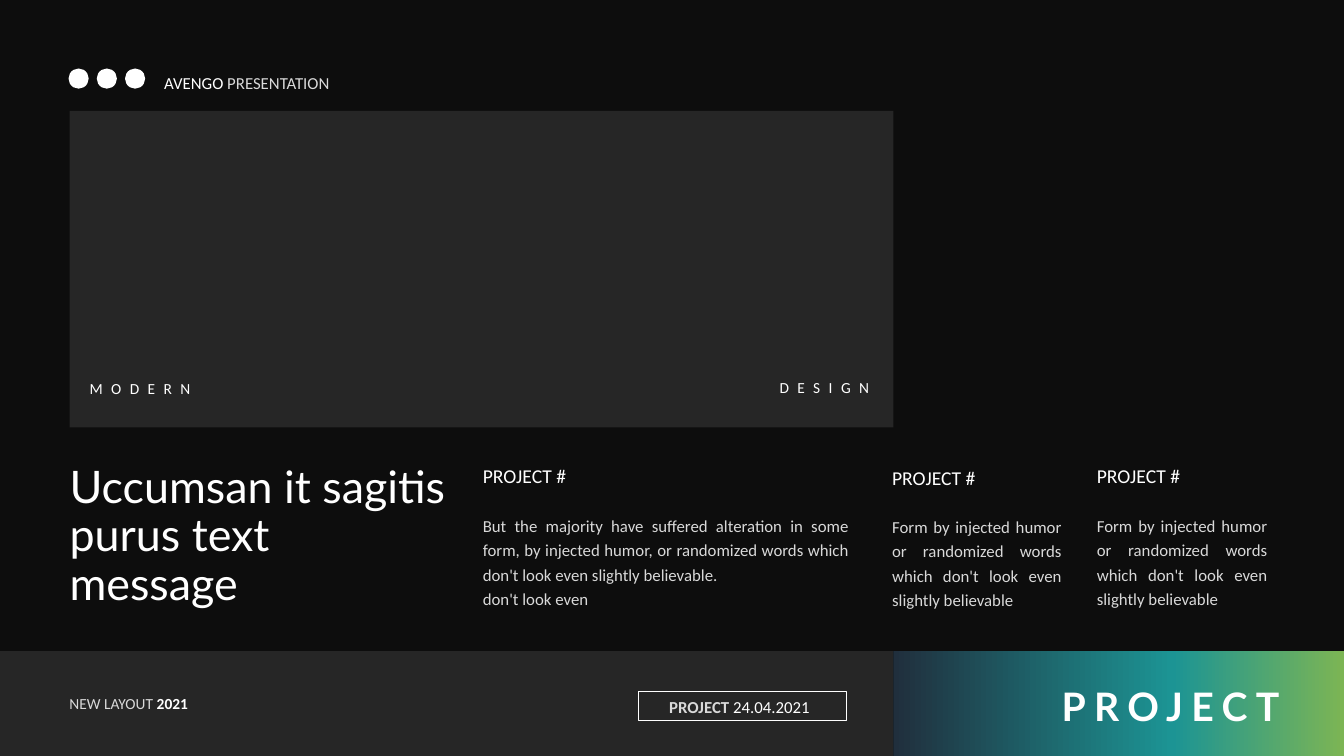
from copy import deepcopy

from pptx import Presentation
from pptx.dml.color import RGBColor
from pptx.enum.shapes import MSO_SHAPE
from pptx.enum.text import MSO_ANCHOR, MSO_AUTO_SIZE, PP_ALIGN
from pptx.oxml.ns import qn
from pptx.util import Inches, Pt

RECT, OVAL = MSO_SHAPE.RECTANGLE, MSO_SHAPE.OVAL
LEFT, RIGHT = PP_ALIGN.LEFT, PP_ALIGN.RIGHT
CENTER, JUSTIFY = PP_ALIGN.CENTER, PP_ALIGN.JUSTIFY
TOP, GROW = MSO_ANCHOR.TOP, MSO_AUTO_SIZE.SHAPE_TO_FIT_TEXT

WHITE, PALE, PANEL, BACK = "FFFFFF", "D9D9D9", "262626", "0D0D0D"
TIGHT = (0.1, 0.05, 0.16, 0.04)


def color(code):
    return RGBColor.from_string(code)


def write(box, paras, size, face="Calibri", align=LEFT, lead=1.0,
          inset=(0.1, 0.05, 0.1, 0.05), track=0):
    """Fill a box with paragraphs, each a list of (text, colour, bold) runs."""
    frame = box.text_frame
    frame.word_wrap = True
    frame.auto_size = GROW
    frame.vertical_anchor = TOP
    for side, gap in zip(("left", "top", "right", "bottom"), inset):
        setattr(frame, f"margin_{side}", Inches(gap))
    for i, runs in enumerate(paras):
        para = frame.add_paragraph() if i else frame.paragraphs[0]
        para.alignment = align
        para.line_spacing = lead
        for text, shade, bold in runs:
            run = para.add_run()
            run.text = text
            style = {"size": Pt(size), "name": face, "bold": bold}
            for key, value in style.items():
                setattr(run.font, key, value)
            run.font.color.rgb = color(shade)
            if track:
                run.font._element.set("spc", str(track * 100))


deck = Presentation()
deck.slide_width, deck.slide_height = Inches(13.33), Inches(7.5)
slide = deck.slides.add_slide(deck.slide_layouts[5])
slide.background.fill.solid()
slide.background.fill.fore_color.rgb = color(BACK)
shapes = slide.shapes

# Panels, footer bar and round icons
plain = [
    (RECT, (0.69, 1.1, 8.17, 3.14), PANEL),
    (RECT, (0, 6.46, 8.86, 1.04), PANEL),
    (RECT, (8.86, 6.46, 4.47, 1.04), None),
]
plain += [(OVAL, (0.68 + 0.28 * i, 0.68, 0.2, 0.2), WHITE) for i in range(3)]
for kind, place, shade in plain:
    shape = shapes.add_shape(kind, *map(Inches, place))
    shape.shadow.inherit = False
    shape.line.fill.background()
    if shade:
        shape.fill.solid()
        shape.fill.fore_color.rgb = color(shade)
        continue
    shape.fill.gradient()
    shape.fill.gradient_angle = 0
    stops = shape._element.spPr.find(".//" + qn("a:gsLst"))
    stops.append(deepcopy(stops[-1]))
    blend = [(0, "202F3D"), (0.62, "1C9494"), (1, "7CB554")]
    for stop, (spot, tone) in zip(shape.fill.gradient_stops, blend):
        stop.position = spot
        stop.color.rgb = color(tone)

# Title
title = shapes.title
title.left, title.top = Inches(0.59), Inches(4.56)
title.width, title.height = Inches(3.94), Inches(1.56)
write(title, [[("Uccumsan it sagitis purus text message", WHITE, False)]],
      32, "Lato", lead=0.9)

# Project columns
short = ["Form by injected humor or randomized words which don't look even "
         "slightly believable"]
long = ["But the majority have suffered alteration in some form, by injected "
        "humor, or randomized words which don't look even slightly believable.",
        "don't look even"]
columns = [
    (4.69, 4.6, 5.03, 3.89, long),
    (8.75, 4.62, 5.04, 1.94, short),
    (10.78, 4.6, 5.03, 1.95, short),
]
for left, top, low, width, body in columns:
    head = shapes.add_textbox(*map(Inches, (left, top, width, 0.29)))
    write(head, [[("PROJECT #", WHITE, False)]], 14, lead=0.8)
    block = shapes.add_textbox(*map(Inches, (left, low, width, 1.06)))
    write(block, [[(text, PALE, False)] for text in body], 12,
          align=JUSTIFY, lead=1.2, inset=TIGHT)

# Labels
labels = [
    ((0.79, 3.71, 1.45, 0.29), [("MODERN", WHITE, False)], 11, {"track": 6}),
    ((6.99, 3.7, 1.73, 0.29), [("DESIGN", WHITE, False)], 11,
     {"track": 6, "align": RIGHT}),
    ((10.01, 6.72, 2.78, 0.57), [("PROJECT", WHITE, True)], 28,
     {"track": 6, "align": RIGHT, "face": "Lato"}),
    ((1.53, 0.57, 2.09, 0.39),
     [("AVENGO", WHITE, False), (" PRESENTATION", PALE, False)], 12,
     {"align": JUSTIFY, "lead": 1.5, "inset": TIGHT}),
    ((0.59, 6.84, 1.75, 0.28),
     [("NEW LAYOUT ", PALE, False), ("2021", WHITE, True)], 11,
     {"inset": TIGHT}),
]
for place, runs, size, style in labels:
    write(shapes.add_textbox(*map(Inches, place)), [runs], size, **style)

# Framed date
date = shapes.add_shape(RECT, *map(Inches, (6.33, 6.86, 2.07, 0.29)))
date.shadow.inherit = False
date.fill.background()
date.line.color.rgb = color(WHITE)
date.line.width = Pt(0.75)
write(date, [[("PROJECT ", PALE, True), ("24.04.2021", WHITE, False)]], 12,
      align=CENTER, inset=TIGHT)

deck.save("out.pptx")
